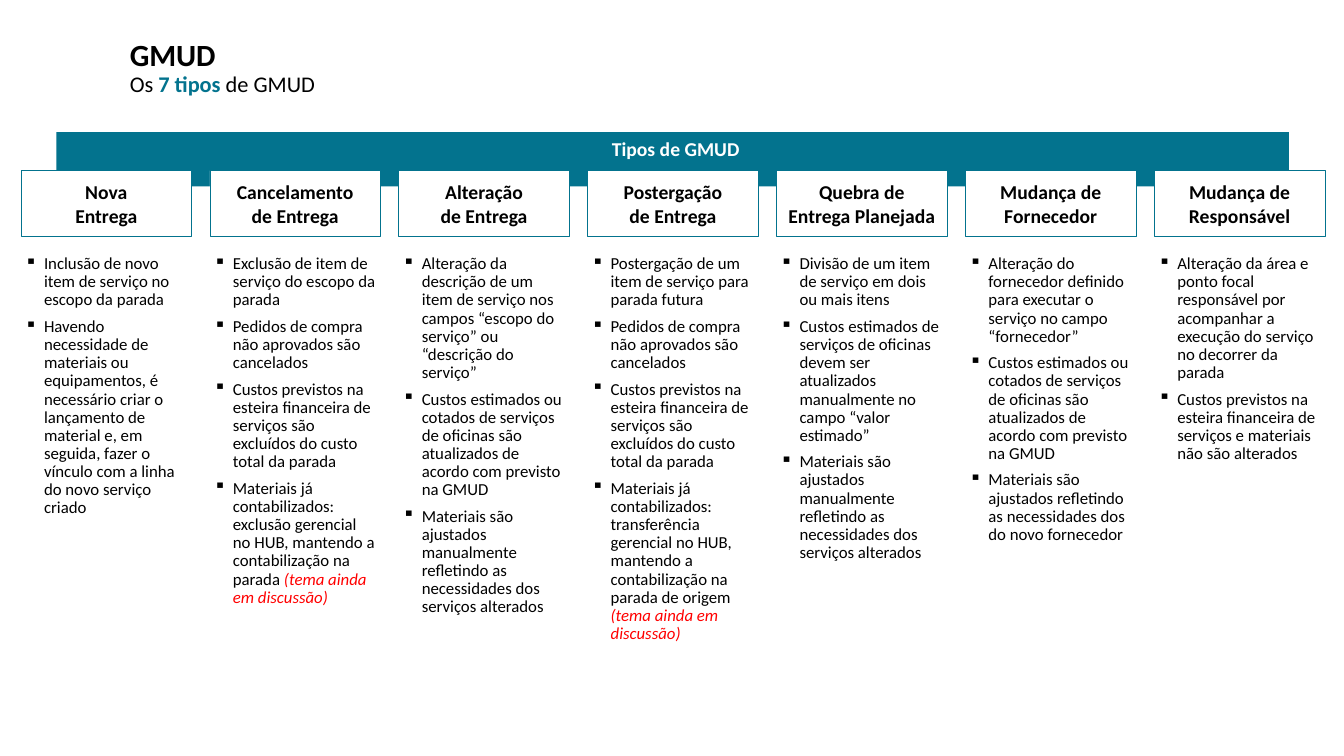
from lxml.etree import SubElement
from pptx import Presentation
from pptx.dml.color import RGBColor
from pptx.enum.shapes import MSO_SHAPE
from pptx.enum.text import MSO_ANCHOR, MSO_AUTO_SIZE, PP_ALIGN
from pptx.oxml.ns import qn
from pptx.util import Cm, Pt

TEAL, BLACK, WHITE, RED = "03738E", "000000", "FFFFFF", "FF0000"

# A paragraph is a string or a list of (text, format changes) runs.
TITLE = [
    ("GMUD\n", {"size": 22, "bold": True}),
    ("Os ", {}),
    ("7 tipos ", {"bold": True, "color": TEAL}),
    ("de GMUD", {}),
]
BANNER = "Tipos de GMUD"

IN_DISCUSSION = ("(tema ainda em discussão)", {"color": RED, "italic": True})
ORDERS_CANCELLED = "Pedidos de compra não aprovados são cancelados"
COSTS_EXCLUDED = ("Custos previstos na esteira financeira de serviços são "
                  "excluídos do custo total da parada")
COSTS_UPDATED = ("Custos estimados ou cotados de serviços de oficinas são "
                 "atualizados de acordo com previsto na GMUD")
MATERIALS_ADJUSTED = ("Materiais são ajustados manualmente refletindo as "
                      "necessidades dos serviços alterados")

CHANGE_TYPES = [
    ("Nova\nEntrega", [
        "Inclusão de novo item de serviço no escopo da parada",
        "Havendo necessidade de materiais ou equipamentos, é necessário criar "
        "o lançamento de material e, em seguida, fazer o vínculo com a linha "
        "do novo serviço criado",
    ]),
    ("Cancelamento\nde Entrega", [
        "Exclusão de item de serviço do escopo da parada",
        ORDERS_CANCELLED,
        COSTS_EXCLUDED,
        [("Materiais já contabilizados: exclusão gerencial no HUB, mantendo a "
          "contabilização na parada ", {}), IN_DISCUSSION],
    ]),
    ("Alteração\nde Entrega", [
        "Alteração da descrição de um item de serviço nos campos “escopo do "
        "serviço” ou “descrição do serviço”",
        COSTS_UPDATED,
        MATERIALS_ADJUSTED,
    ]),
    ("Postergação\nde Entrega", [
        "Postergação de um item de serviço para parada futura",
        ORDERS_CANCELLED,
        COSTS_EXCLUDED,
        [("Materiais já contabilizados: transferência gerencial no HUB, "
          "mantendo a contabilização na parada de origem ", {}), IN_DISCUSSION],
    ]),
    ("Quebra de\nEntrega Planejada", [
        "Divisão de um item de serviço em dois ou mais itens",
        "Custos estimados de serviços de oficinas devem ser atualizados "
        "manualmente no campo “valor estimado”",
        MATERIALS_ADJUSTED,
    ]),
    ("Mudança de Fornecedor", [
        "Alteração do fornecedor definido para executar o serviço no campo "
        "“fornecedor”",
        COSTS_UPDATED,
        "Materiais são ajustados refletindo as necessidades dos do novo "
        "fornecedor",
    ]),
    ("Mudança de Responsável", [
        "Alteração da área e ponto focal responsável por acompanhar a execução "
        "do serviço no decorrer da parada",
        "Custos previstos na esteira financeira de serviços e materiais não "
        "são alterados",
    ]),
]

COLUMN_LEFT, COLUMN_WIDTH, COLUMN_PITCH = 0.53, 4.3, 4.76
HEADING_TOP, HEADING_HEIGHT = 4.3, 1.67
DETAILS_TOP, DETAILS_HEIGHT = 6.3, 9.7
BULLET_INDENT = 0.48


def rgb(value):
    return RGBColor.from_string(value)


def add_bullet(paragraph):
    properties = paragraph._p.get_or_add_pPr()
    properties.set("marL", str(Cm(BULLET_INDENT)))
    properties.set("indent", str(-Cm(BULLET_INDENT)))
    SubElement(properties, qn("a:buChar"), char="▪")


def add_run(paragraph, text, size, color=BLACK, bold=False, italic=False):
    """Add text to the paragraph; a newline becomes a line break of that size."""
    for number, line in enumerate(text.split("\n")):
        if number:
            paragraph.add_line_break()
            line_break = paragraph._p.findall(qn("a:br"))[-1]
            SubElement(line_break, qn("a:rPr"), sz=str(size * 100))
        if line:
            run = paragraph.add_run()
            run.text = line
            run.font.name = "Calibri"
            run.font.size = Pt(size)
            run.font.bold = bold
            run.font.italic = italic
            run.font.color.rgb = rgb(color)


def write(frame, paragraphs, margins=(0.25, 0.13, 0.25, 0.13),
          anchor=MSO_ANCHOR.TOP, align=PP_ALIGN.LEFT, line_spacing=1.0,
          space_before=0, bullets=False, **font):
    frame.word_wrap = True
    frame.auto_size = MSO_AUTO_SIZE.NONE
    frame.vertical_anchor = anchor
    (frame.margin_left, frame.margin_top,
     frame.margin_right, frame.margin_bottom) = map(Cm, margins)
    for number, content in enumerate(paragraphs):
        paragraph = frame.add_paragraph() if number else frame.paragraphs[0]
        if bullets:
            add_bullet(paragraph)
        paragraph.alignment = align
        paragraph.line_spacing = line_spacing
        paragraph.space_before = Pt(space_before if number else 0)
        runs = [(content, {})] if isinstance(content, str) else content
        for text, changes in runs:
            add_run(paragraph, text, **{**font, **changes})


def add_box(slide, left, top, width, height, fill, outline=None):
    box = slide.shapes.add_shape(
        MSO_SHAPE.RECTANGLE, Cm(left), Cm(top), Cm(width), Cm(height))
    box.shadow.inherit = False
    box.fill.solid()
    box.fill.fore_color.rgb = rgb(fill)
    if outline:
        box.line.color.rgb = rgb(outline)
        box.line.width = Pt(0.5)
    else:
        box.line.fill.background()
    return box


def main():
    deck = Presentation()
    deck.slide_width, deck.slide_height = Cm(33.87), Cm(19.05)
    slide = deck.slides.add_slide(deck.slide_layouts[5])

    title = slide.shapes.title
    title.left, title.top = Cm(3.02), Cm(0.84)
    title.width, title.height = Cm(29.13), Cm(1.8)
    write(title.text_frame, [TITLE], anchor=MSO_ANCHOR.MIDDLE,
          line_spacing=0.9, size=16)

    banner = add_box(slide, 1.42, 3.33, 31.06, 1.37, TEAL)
    write(banner.text_frame, [BANNER], margins=(0.41, 0.13, 0.25, 0.13),
          align=PP_ALIGN.CENTER, size=14, color=WHITE, bold=True)

    for column, (change_type, details) in enumerate(CHANGE_TYPES):
        left = COLUMN_LEFT + column * COLUMN_PITCH
        heading = add_box(slide, left, HEADING_TOP, COLUMN_WIDTH,
                          HEADING_HEIGHT, WHITE, outline=TEAL)
        write(heading.text_frame, [change_type], margins=(0.1, 0.1, 0.1, 0.1),
              anchor=MSO_ANCHOR.MIDDLE, align=PP_ALIGN.CENTER, size=14,
              bold=True)
        description = slide.shapes.add_textbox(
            Cm(left), Cm(DETAILS_TOP), Cm(COLUMN_WIDTH), Cm(DETAILS_HEIGHT))
        write(description.text_frame, details, margins=(0.1, 0.13, 0.1, 0.13),
              line_spacing=0.9, space_before=6, bullets=True, size=12)

    deck.save("out.pptx")


if __name__ == "__main__":
    main()
